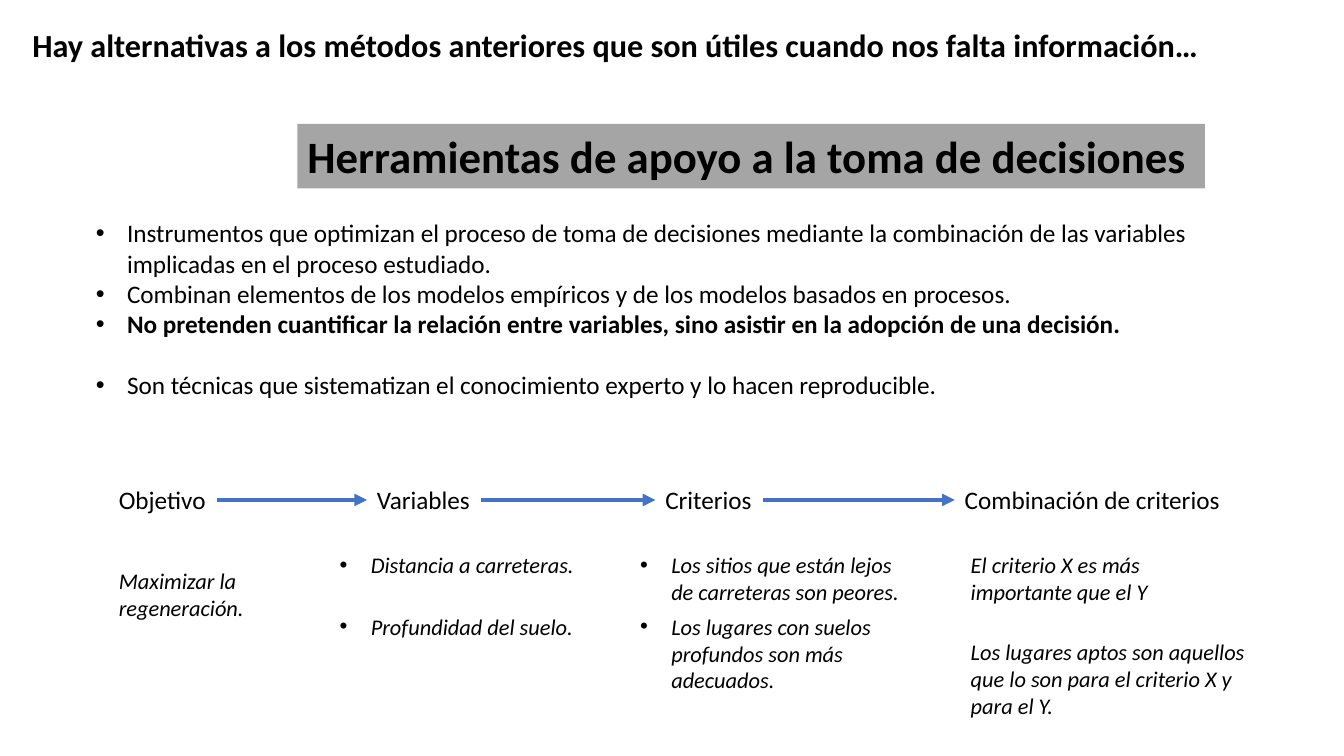
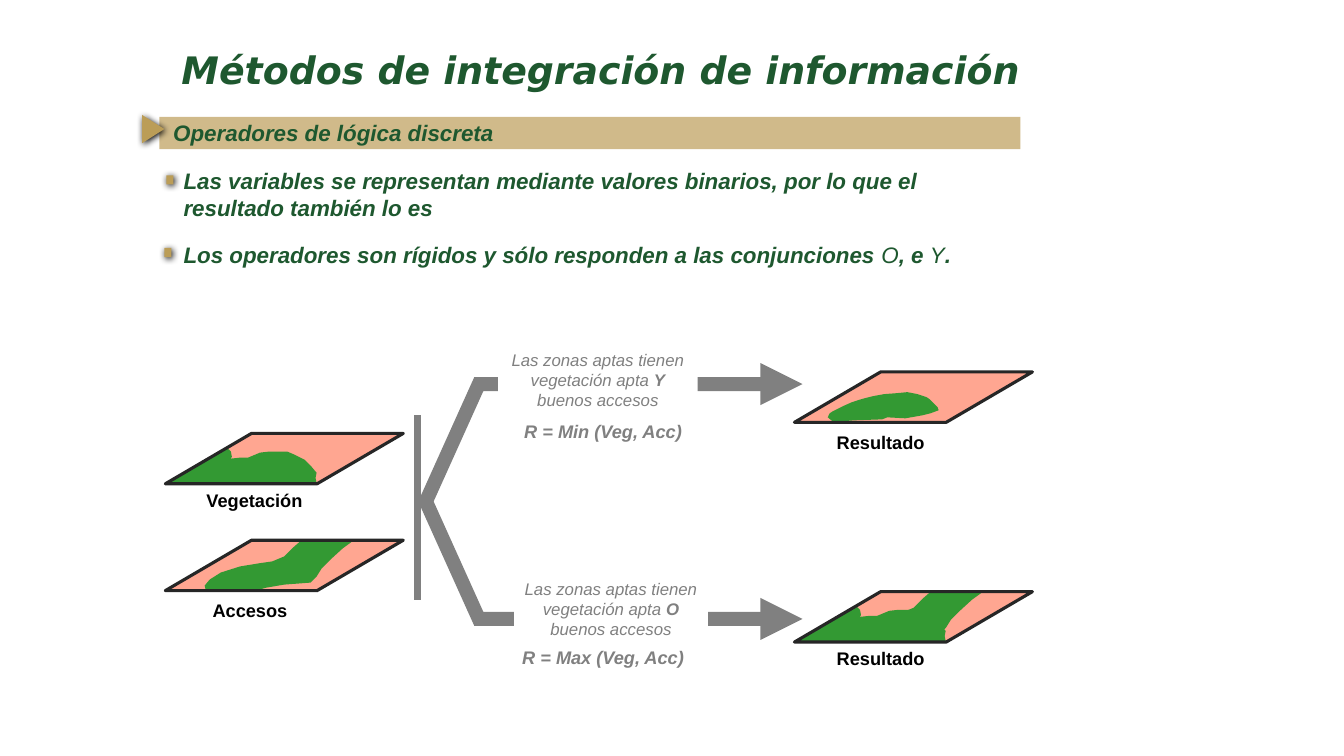
from lxml import etree
from pptx import Presentation
from pptx.dml.color import RGBColor
from pptx.enum.shapes import MSO_CONNECTOR, MSO_SHAPE
from pptx.enum.text import MSO_ANCHOR, MSO_AUTO_SIZE, PP_ALIGN
from pptx.oxml.ns import qn
from pptx.util import Pt

PX = 9144  # 100 px to the inch
LEFT, CENTER = PP_ALIGN.LEFT, PP_ALIGN.CENTER
RECTANGLE, TRIANGLE = MSO_SHAPE.RECTANGLE, MSO_SHAPE.ISOSCELES_TRIANGLE
PARALLELOGRAM = MSO_SHAPE.PARALLELOGRAM
STRAIGHT = MSO_CONNECTOR.STRAIGHT
COLORS = {
    "black": "000000", "white": "FFFFFF", "banner": "A5A5A5", "flow": "4472C4",
    "forest": "1E582F", "sand": "D0BA8A", "gold": "BB9D57", "gray": "808080",
    "pale": "FFA691", "green": "339933", "outline": "262626",
}
BULLET_INDENT = 31

# Slide 1
TOOLS_TITLE = "Hay alternativas a los métodos anteriores que son útiles cuando nos falta información…"
TOOLS_BANNER = "Herramientas de apoyo a la toma de decisiones"
TOOLS_POINTS = [
    "Instrumentos que optimizan el proceso de toma de decisiones mediante la combinación "
    "de las variables implicadas en el proceso estudiado.",
    "Combinan elementos de los modelos empíricos y de los modelos basados en procesos.",
    [("No pretenden cuantificar la relación entre variables, sino asistir en la adopción "
      "de una decisión.", True)],
    "Son técnicas que sistematizan el conocimiento experto y lo hacen reproducible.",
]
STEP_TOP, STEP_HEIGHT = 476, 40
STEPS = [  # text, left, width
    ("Objetivo", 108, 107),
    ("Variables", 364, 113),
    ("Criterios", 650, 107),
    ("Combinación de criterios", 947, 276),
]
EXAMPLES = [  # text, left, top, width, height, bulleted
    ("Maximizar la regeneración.", 108, 558, 172, 64, False),
    ("Distancia a carreteras.", 327, 542, 256, 37, True),
    ("Profundidad del suelo.", 327, 603, 256, 37, True),
    ("Los sitios que están lejos de carreteras son peores.", 625, 542, 296, 64, True),
    ("Los lugares con suelos profundos son más adecuados.", 625, 603, 305, 91, True),
    ("El criterio X es más importante que el Y", 953, 542, 243, 64, False),
    ("Los lugares aptos son aquellos que lo son para el criterio X y para el Y.",
     953, 628, 296, 91, False),
]

# Slide 2
LOGIC_TITLE = "Métodos de integración de información"
LOGIC_HEADING = "Operadores de lógica discreta"
LOGIC_POINTS = [
    "Las variables se representan mediante valores binarios, por lo que el resultado también lo es",
    [("Los operadores son rígidos y sólo responden a las conjunciones ", True), ("O", False),
     (", e ", True), ("Y", False), (".", True)],
]
POINT_MARKS = [(165, 174), (163, 246)]
VEGETATION = [
    (0, 49), (60, 14), (63, 16), (65, 18), (66, 23), (65, 25), (74, 24), (82, 24), (94, 19),
    (103, 18), (121, 18), (128, 21), (138, 26), (145, 33), (150, 39), (149, 44), (150, 49),
]
ACCESS = [
    (40, 49), (93, 49), (100, 47), (118, 44), (131, 43), (144, 42), (150, 36), (155, 28),
    (164, 19), (176, 8), (187, 0), (135, 0), (127, 7), (123, 11), (118, 16), (106, 21),
    (92, 23), (74, 26), (55, 32), (44, 39), (39, 45),
]
OVERLAP = [
    (143, 38), (135, 41), (127, 43), (110, 46), (92, 45), (87, 47), (59, 48), (46, 49),
    (38, 49), (33, 45), (35, 41), (38, 39), (48, 34), (57, 30), (63, 28), (70, 26), (78, 24),
    (89, 22), (102, 21), (112, 20), (122, 22), (131, 25), (134, 27), (137, 30), (142, 35),
]
TILE_SIZE = (236, 50)
TILES = [  # tile corner, green areas, label, label box
    ((164, 430), [VEGETATION], "Vegetación", (195, 480, 117, 32)),
    ((164, 536), [ACCESS], "Accesos", (201, 590, 95, 32)),
    ((788, 369), [OVERLAP], "Resultado", (820, 423, 108, 32)),
    ((788, 587), [VEGETATION, ACCESS], "Resultado", (820, 637, 108, 32)),
]
BRANCHES = [  # arrow points, conjunction, its box, formula, formula top
    ([(420, 503), (475, 381), (796, 381)], "Y", (494, 342, 198, 90), "R = Min (Veg, Acc)", 412),
    ([(420, 492), (475, 614), (796, 614)], "O", (510, 569, 192, 90), "R = Max (Veg, Acc)", 636),
]


def rgb(name):
    return RGBColor.from_string(COLORS[name])


def emu(*lengths):
    return [length * PX for length in lengths]


def add_xml(parent, tag, **attributes):
    return etree.SubElement(parent, qn(tag), attributes)


def set_bullet(para, bulleted):
    properties = para._p.get_or_add_pPr()
    indent = BULLET_INDENT * PX if bulleted else 0
    properties.set("marL", str(indent))
    properties.set("indent", str(-indent))
    if bulleted:
        add_xml(properties, "a:buFont", typeface="Arial")
        add_xml(properties, "a:buChar", char="•")
    else:
        add_xml(properties, "a:buNone")


def write(shape, paragraphs, size, font="Calibri", color="black", bold=False, italic=False,
          align=LEFT, bulleted=False, wrap=True, inset=10):
    """Fill a shape with paragraphs, each a string or a list of (text, bold) runs."""
    frame = shape.text_frame
    frame.auto_size = MSO_AUTO_SIZE.NONE
    frame.word_wrap = wrap
    frame.vertical_anchor = MSO_ANCHOR.TOP
    frame.margin_left = frame.margin_right = inset * PX
    frame.margin_top = frame.margin_bottom = 5 * PX
    for index, runs in enumerate(paragraphs):
        para = frame.add_paragraph() if index else frame.paragraphs[0]
        para.alignment = align
        para.space_before = Pt(0)
        set_bullet(para, bulleted)
        for text, run_bold in [(runs, bold)] if isinstance(runs, str) else runs:
            span = para.add_run()
            span.text = text
            span.font.name, span.font.size = font, Pt(size)
            span.font.bold, span.font.italic = run_bold, italic
            span.font.color.rgb = rgb(color)


def add_text(slide, box, text, size, **style):
    write(slide.shapes.add_textbox(*emu(*box)), [text], size, **style)


def fill_placeholder(holder, box, paragraphs, size, **style):
    holder.left, holder.top, holder.width, holder.height = emu(*box)
    write(holder, paragraphs, size, **style)
    return holder.text_frame.paragraphs


def paint(shape, fill=None, line=None, width=1):
    shape.shadow.inherit = False
    if fill:
        shape.fill.solid()
        shape.fill.fore_color.rgb = rgb(fill)
    else:
        shape.fill.background()
    if line:
        shape.line.color.rgb = rgb(line)
        shape.line.width = Pt(width)
    else:
        shape.line.fill.background()
    return shape


def add_shape(slide, kind, box, **look):
    return paint(slide.shapes.add_shape(kind, *emu(*box)), **look)


def add_outline(slide, points, closed=True, **look):
    builder = slide.shapes.build_freeform(*points[0], scale=PX)
    builder.add_line_segments(points[1:], close=closed)
    return paint(builder.convert_to_shape(), **look)


def add_arrowhead(shape):
    add_xml(shape.line._get_or_add_ln(), "a:tailEnd", type="triangle")


def add_line(slide, start, end, color, width):
    line = slide.shapes.add_connector(STRAIGHT, *emu(*start, *end))
    line.line.color.rgb = rgb(color)
    line.line.width = Pt(width)
    add_xml(line._element.spPr, "a:effectLst")
    return line


def cast_shadow(shape):
    effects = shape._element.spPr.find(qn("a:effectLst"))
    shadow = add_xml(effects, "a:outerShdw", blurRad=str(Pt(5)), dist=str(Pt(1.4)),
                     dir="2700000", algn="ctr", rotWithShape="0")
    add_xml(shadow, "a:srgbClr", val=COLORS["black"])


def add_tile(slide, corner, areas):
    """Draw a map sheet seen at an angle, with its suitable areas in green."""
    left, top = corner
    box = (left, top, *TILE_SIZE)
    sheet = add_shape(slide, PARALLELOGRAM, box, fill="pale")
    for area in areas:
        add_outline(slide, [(left + x, top + y) for x, y in area], fill="green")
    border = add_shape(slide, PARALLELOGRAM, box, line="outline", width=2.25)
    for shape in (sheet, border):
        shape.adjustments[0] = 1.71


def build_tools_slide(slide):
    title, body = slide.placeholders
    fill_placeholder(title, (22, 20, 1190, 49), [TOOLS_TITLE], 23, bold=True, wrap=False)
    points = fill_placeholder(body, (85, 211, 1109, 222), TOOLS_POINTS, 18, bulleted=True)
    points[-1].space_before = Pt(22)
    banner = add_shape(slide, RECTANGLE, (295, 123, 900, 64), fill="banner")
    write(banner, [TOOLS_BANNER], 32, bold=True, wrap=False)

    for text, left, width in STEPS:
        add_text(slide, (left, STEP_TOP, width, STEP_HEIGHT), text, 18, wrap=False)
    middle = STEP_TOP + STEP_HEIGHT // 2
    for (_, left, width), (_, next_left, _) in zip(STEPS, STEPS[1:]):
        add_arrowhead(add_line(slide, (left + width, middle), (next_left, middle), "flow", 3))
    for text, *box, bulleted in EXAMPLES:
        add_text(slide, box, text, 16, italic=True, bulleted=bulleted)


def build_logic_slide(slide):
    title, body = slide.placeholders
    heading_style = {"color": "forest", "bold": True, "italic": True}
    fill_placeholder(title, (170, 41, 885, 55), [LOGIC_TITLE], 27, font="DejaVu Sans",
                     **heading_style)
    points = fill_placeholder(body, (172, 161, 830, 107), LOGIC_POINTS, 16, font="Arial",
                              **heading_style)
    points[-1].space_before = Pt(14)

    add_shape(slide, RECTANGLE, (158, 116, 854, 32), fill="sand")
    pointer = add_shape(slide, TRIANGLE, (138, 117, 28, 22), fill="gold")
    pointer.rotation = 90
    cast_shadow(pointer)
    add_text(slide, (162, 113, 400, 37), LOGIC_HEADING, 16, font="Arial", **heading_style)
    for corner in POINT_MARKS:
        cast_shadow(add_shape(slide, RECTANGLE, (*corner, 7, 9), fill="gold"))

    for points, *_ in BRANCHES:
        arrow = add_outline(slide, points, closed=False, line="gray", width=10)
        add_xml(arrow.line._get_or_add_ln(), "a:miter", lim="800000")
        add_arrowhead(arrow)
    add_line(slide, (414, 412), (414, 595), "gray", 5.25)
    rule_style = {"font": "Arial", "color": "gray", "italic": True, "align": CENTER, "inset": 5}
    for _, conjunction, box, formula, formula_top in BRANCHES:
        rule = [("Las zonas aptas tienen vegetación apta ", False), (conjunction, True),
                (" buenos accesos", False)]
        write(add_shape(slide, RECTANGLE, box, fill="white"), [rule], 12, **rule_style)
        formula_box = add_shape(slide, RECTANGLE, (484, formula_top, 228, 35), fill="white")
        write(formula_box, [formula], 13, bold=True, **rule_style)

    for corner, areas, label, label_box in TILES:
        add_tile(slide, corner, areas)
        add_text(slide, label_box, label, 13, font="Arial", bold=True)


def main():
    deck = Presentation()
    deck.slide_width, deck.slide_height = emu(1333, 750)
    for build in (build_tools_slide, build_logic_slide):
        build(deck.slides.add_slide(deck.slide_layouts[1]))
    deck.save("out.pptx")


if __name__ == "__main__":
    main()
